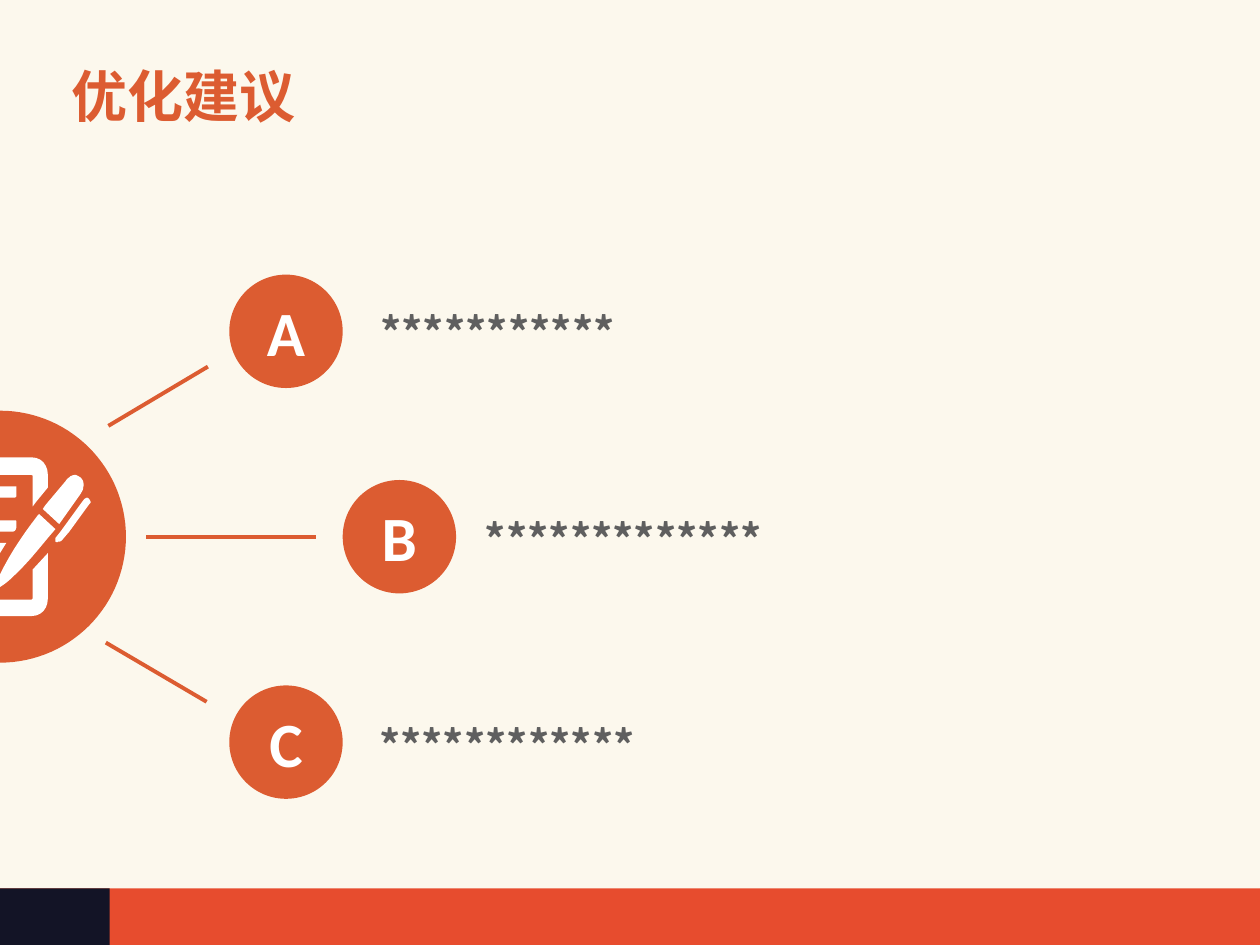
from math import cos, pi, sin

from lxml.etree import SubElement
from pptx import Presentation
from pptx.dml.color import RGBColor
from pptx.enum.shapes import MSO_CONNECTOR, MSO_SHAPE
from pptx.enum.text import MSO_ANCHOR, MSO_AUTO_SIZE, PP_ALIGN
from pptx.oxml.ns import qn
from pptx.util import Inches, Pt

ORANGE, WHITE, GREY = "DC5C31", "FFFFFF", "5F5F5F"
CREAM, RED, NAVY = "FCF8ED", "E74C2E", "131426"
CJK, LATIN = "Noto Sans CJK SC", "Calibri"
COLS, ROWS = 100, 75

ITEMS = [
    ("A", 18.2, (29.2, 23, 33.5, 5.2), 11),
    ("B", 27.2, (37.5, 39.5, 37.7, 5.2), 13),
    ("C", 18.2, (29.1, 55.8, 66.2, 5.2), 12),
]
SPOKES = [
    (8.6, 33.8, 16.5, 29.1),
    (11.6, 42.6, 25.1, 42.6),
    (8.4, 51, 16.4, 55.7),
]
NOTE_AND_PEN = [
    [(3.8, 43.9), (3.8, 47.5), (3.8, 48.3, 3.3, 48.9, 2.5, 48.9), (0, 48.9), (0, 47.6),
     (2.3, 47.6), (2.6, 47.6, 2.6, 47.6, 2.6, 47.3), (2.6, 45.2)],
    [(0, 43.1), (0.5, 43.1), (0, 43.9)],
    [(0, 41.3), (1.1, 41.3), (1.3, 41.3, 1.3, 41.3, 1.3, 41.5), (1.3, 41.8),
     (1.3, 42, 1.2, 42.2, 1, 42.2), (0, 42.2)],
    [(3.1, 40.8), (4.4, 42), (3.8, 42.7), (2.9, 43.8, 2, 44.9, 0.9, 45.9),
     (0.6, 46.2, 0.3, 46.4, 0, 46.6), (0, 45.6), (0.3, 45),
     (1.1, 43.5, 2, 42.2, 3, 40.9)],
    [(6.9, 39.5), (7, 39.5, 7.2, 39.7, 7.2, 39.9), (7.1, 40), (5.5, 42.2), (4.9, 42.9),
     (4.8, 43, 4.7, 43, 4.6, 43), (4.6, 43.1, 4.4, 43, 4.4, 43),
     (4.4, 42.9, 4.4, 42.8, 4.4, 42.7), (4.8, 42.2), (6.4, 40), (6.7, 39.6)],
    [(0, 38.6), (1.2, 38.6), (1.3, 38.6, 1.3, 38.6, 1.3, 38.7), (1.3, 39.3),
     (1.3, 39.4, 1.3, 39.5, 1.1, 39.5), (0, 39.5)],
    [(6, 37.7), (6.1, 37.7, 6.2, 37.8, 6.4, 37.9), (6.6, 38.1, 6.7, 38.4, 6.6, 38.7),
     (6.6, 38.9, 6.5, 39, 6.4, 39.2), (4.7, 41.6), (3.4, 40.4), (3.6, 40.1),
     (5.2, 38.2), (5.3, 38, 5.5, 37.9, 5.6, 37.8), (5.8, 37.7, 5.9, 37.7, 6, 37.7)],
    [(0, 36.3), (2.5, 36.3), (3.3, 36.3, 3.8, 36.9, 3.8, 37.7), (3.8, 38.7),
     (2.9, 39.8), (2.6, 40.2), (2.6, 37.9), (2.6, 37.7, 2.6, 37.7, 2.3, 37.7), (0, 37.7)],
]


def color(value):
    return RGBColor.from_string(value)


def flatten(outline, steps=6):
    """Turn the cubic curves of an outline into short straight pieces."""
    points = []
    for node in outline:
        if len(node) == 2:
            points.append(node)
            continue
        start = points[-1]
        for i in range(1, steps + 1):
            t = i / steps
            u = 1 - t
            points.append(tuple(
                u**3 * start[k] + 3 * u * u * t * node[k]
                + 3 * u * t * t * node[k + 2] + t**3 * node[k + 4]
                for k in (0, 1)))
    return points


class Deck:
    """Hold the style and the current slide, measured in grid cells."""

    def __init__(self):
        self.prs = Presentation()
        self.prs.slide_width, self.prs.slide_height = Inches(10), Inches(7.5)
        self.s = self.prs.slides.add_slide(self.prs.slide_layouts[6])

    def x(self, cols):
        return round(self.prs.slide_width * cols / COLS)

    def y(self, rows):
        return round(self.prs.slide_height * rows / ROWS)

    def box(self, left, top, width, height):
        return self.x(left), self.y(top), self.x(width), self.y(height)

    def paint(self, sp, fill):
        sp.shadow.inherit = False
        sp.fill.solid()
        sp.fill.fore_color.rgb = color(fill)
        sp.line.fill.background()
        return sp

    def shape(self, kind, box, fill):
        return self.paint(self.s.shapes.add_shape(kind, *self.box(*box)), fill)

    def put_text(self, sp, text, size, font, fill, frame, para):
        tf = sp.text_frame
        p = tf.paragraphs[0]
        r = p.add_run()
        r.text = text
        style = {"size": Pt(size), "bold": True, "name": font}
        for target, values in ((tf, frame), (p, para), (r.font, style)):
            for name, value in values.items():
                setattr(target, name, value)
        r.font.color.rgb = color(fill)
        SubElement(r._r.get_or_add_rPr(), qn("a:ea")).set("typeface", font)

    def text(self, box, text, size, fill, frame, spacing):
        sp = self.s.shapes.add_textbox(*self.box(*box))
        self.put_text(sp, text, size, CJK, fill, {"word_wrap": True, **frame},
                      {"line_spacing": spacing})

    def badge(self, box, letter):
        sp = self.shape(MSO_SHAPE.OVAL, box, ORANGE)
        self.put_text(sp, letter, 36, LATIN, WHITE,
                      {"vertical_anchor": MSO_ANCHOR.MIDDLE},
                      {"alignment": PP_ALIGN.CENTER})

    def line(self, x1, y1, x2, y2):
        c = self.s.shapes.add_connector(MSO_CONNECTOR.STRAIGHT, self.x(x1), self.y(y1),
                                        self.x(x2), self.y(y2))
        c.line.color.rgb = color(ORANGE)
        c.line.width = Pt(2.25)
        SubElement(c._element.spPr, qn("a:effectLst"))

    def outline(self, contours, fill):
        rings = [[(self.x(a), self.y(b)) for a, b in flatten(c)] for c in contours]
        fb = self.s.shapes.build_freeform(*rings[0][0])
        for i, points in enumerate(rings):
            if i:
                fb.move_to(*points[0])
            fb.add_line_segments(points[1:], close=True)
        self.paint(fb.convert_to_shape(), fill)


def main():
    deck = Deck()
    for box, fill in (((0, 0, COLS, ROWS), CREAM),
                      ((0, 70.5, COLS, 4.5), RED),
                      ((0, 70.5, 8.7, 4.5), NAVY)):
        deck.shape(MSO_SHAPE.RECTANGLE, box, fill)
    deck.text((4.7, 3.7, 90.7, 7.1), "优化建议", 32, ORANGE,
              {"vertical_anchor": MSO_ANCHOR.BOTTOM}, 0.9)
    for i, (letter, left, label, stars) in enumerate(ITEMS):
        deck.badge((left, 21.8 + 16.3 * i, 9, 9), letter)
        deck.text(label, "*" * stars, 24, GREY,
                  {"auto_size": MSO_AUTO_SIZE.SHAPE_TO_FIT_TEXT}, 1.2)
    for spoke in SPOKES:
        deck.line(*spoke)
    angles = [pi * (i / 60 - 0.5) for i in range(61)]
    deck.outline([[(10 * cos(a), 42.6 + 10 * sin(a)) for a in angles]], ORANGE)
    deck.outline(NOTE_AND_PEN, WHITE)
    deck.prs.save("out.pptx")


if __name__ == "__main__":
    main()
